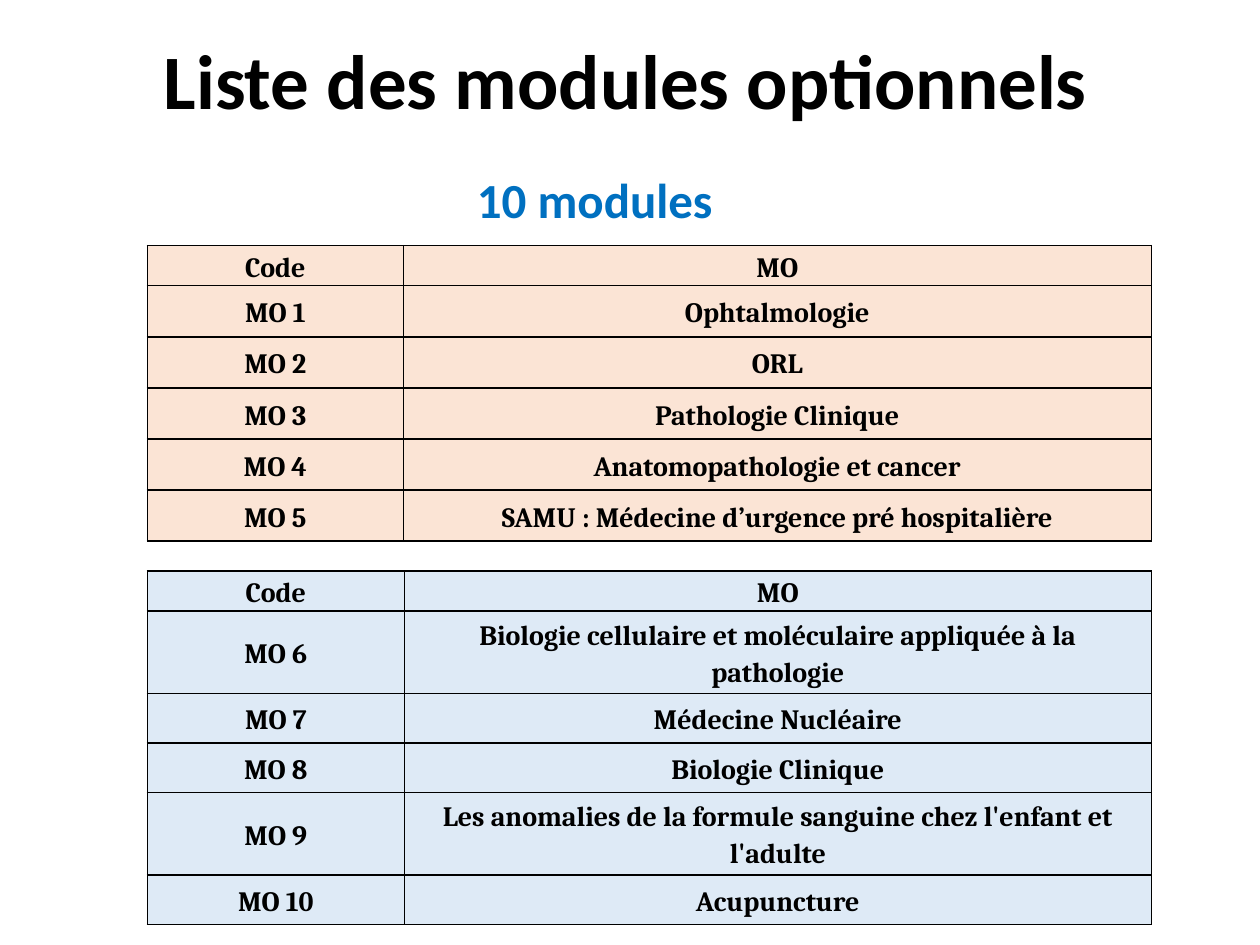
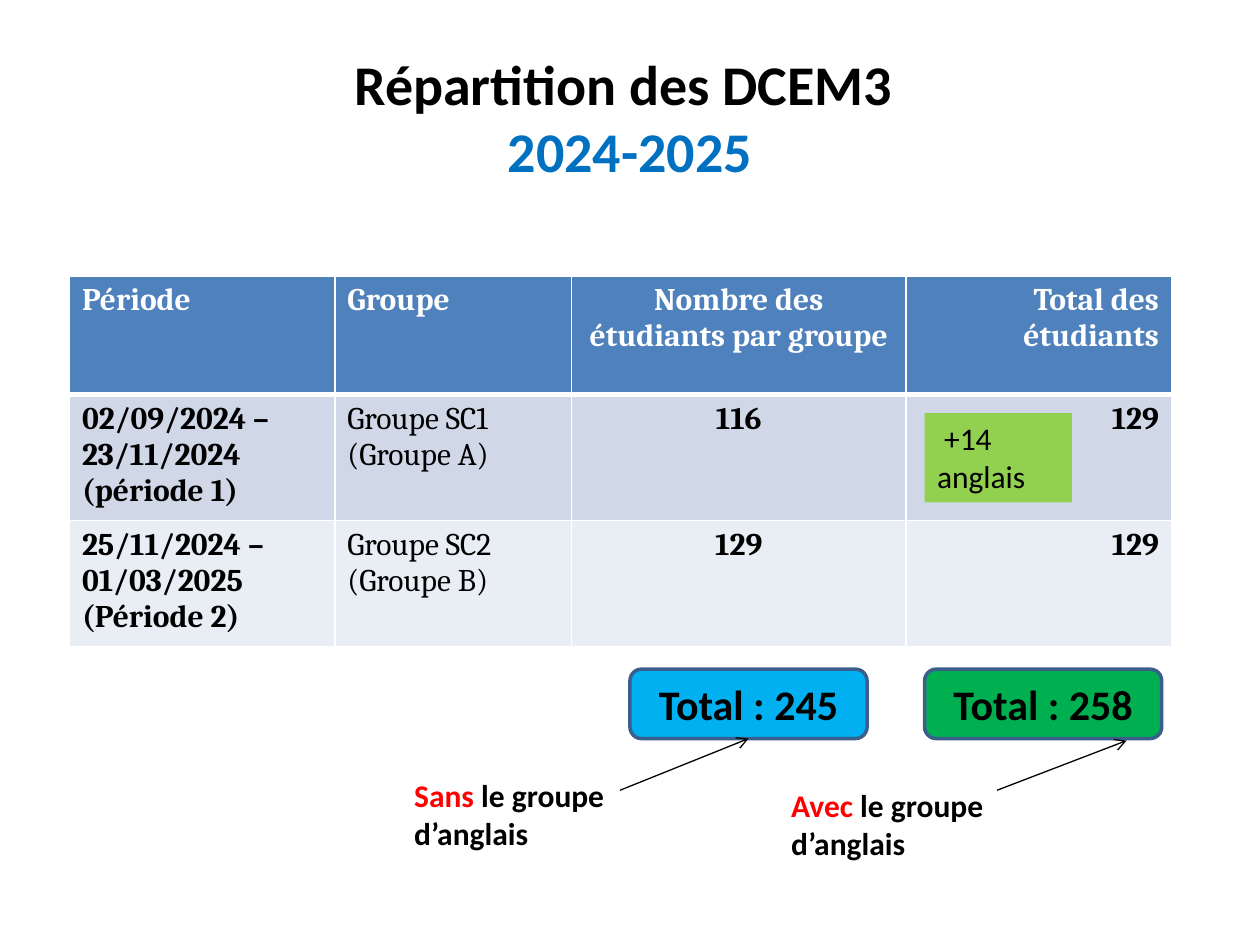
from pptx import Presentation
from pptx.dml.color import RGBColor as RGB
from pptx.enum.shapes import MSO_CONNECTOR as LINK, MSO_SHAPE as SHAPE
from pptx.enum.text import MSO_ANCHOR as ANCHOR, PP_ALIGN as ALIGN
from pptx.oxml import parse_xml
from pptx.oxml.ns import nsdecls
from pptx.util import Cm, Pt

BLACK = RGB(0, 0, 0)
WHITE = RGB(0xFF, 0xFF, 0xFF)
RED = RGB(0xFF, 0, 0)
ACCENT = RGB(0x00, 0x70, 0xC0)
PEACH = RGB(0xFB, 0xE4, 0xD5)
PALE = RGB(0xDE, 0xEA, 0xF6)
HEAD = RGB(0x4F, 0x81, 0xBD)
BANDS = [RGB(0xD0, 0xD8, 0xE8), RGB(0xE9, 0xED, 0xF4)]
EDGE = RGB(0x3A, 0x5F, 0x8C)
SKY = RGB(0x00, 0xB0, 0xF0)
GREEN = RGB(0x00, 0xB0, 0x50)
LIME = RGB(0x92, 0xD0, 0x50)
SANS, SERIF = "Calibri", "Cambria"


def write(frame, lines, size, font=SANS, bold=True, align=ALIGN.LEFT, color=BLACK):
    """Fill a frame; a line is a string or a list of (text, colour) runs."""
    frame.word_wrap = True
    for i, line in enumerate(lines):
        par = frame.add_paragraph() if i else frame.paragraphs[0]
        par.alignment = align
        par.font.name, par.font.size, par.font.bold = font, Pt(size), bold
        if isinstance(line, str):
            par.text = line
            par.font.color.rgb = color
            continue
        for text, tint in line:
            run = par.add_run()
            run.text = text.rstrip("\n")
            run.font.color.rgb = tint
            if text.endswith("\n"):
                par.add_line_break()


def paint(cell, fill, line, top=1, bottom=1):
    """Give a cell its borders (in points), then its fill."""
    props = cell._tc.get_or_add_tcPr()
    for side, width in zip("LRTB", (1, 1, top, bottom)):
        props.append(parse_xml(
            f'<a:ln{side} {nsdecls("a")} w="{Pt(width)}"><a:solidFill>'
            f'<a:srgbClr val="{line}"/></a:solidFill></a:ln{side}>'))
    cell.fill.solid()
    cell.fill.fore_color.rgb = fill


deck = Presentation()
deck.slide_width, deck.slide_height = Cm(25.4), Cm(19.05)
blank = deck.slide_layouts[6]
first, second = deck.slides.add_slide(blank), deck.slides.add_slide(blank)

# Titles of both slides
titles = [
    (first, 1.19, 0, 44, [("Liste des modules optionnels", BLACK)]),
    (second, 1.27, 0.76, 32, [("Répartition des DCEM3 \n", BLACK), ("2024-2025", ACCENT)]),
]
for slide, left, top, size, runs in titles:
    frame = slide.shapes.add_textbox(Cm(left), Cm(top), Cm(22.86), Cm(3.18)).text_frame
    frame.vertical_anchor = ANCHOR.MIDDLE
    write(frame, [runs], size, align=ALIGN.CENTER)

# Slide 1: module count
count = first.shapes.add_textbox(Cm(7.54), Cm(3.3), Cm(9.12), Cm(1.45))
write(count.text_frame, ["10 modules "], 28, align=ALIGN.CENTER, color=ACCENT)

# Slide 1: two module lists, numbered on from one to the next
lists = [
    (4.95, PEACH, 5.16, [0.81] + [1.03] * 5,
     ["Ophtalmologie", "ORL", "Pathologie Clinique", "Anatomopathologie et cancer",
      "SAMU : Médecine d’urgence pré hospitalière"]),
    (11.51, PALE, 5.18, [0.81, 1.66, 1, 1, 1.66, 1],
     ["Biologie cellulaire et moléculaire appliquée à la pathologie",
      "Médecine Nucléaire", "Biologie Clinique",
      "Les anomalies de la formule sanguine chez l'enfant et l'adulte", "Acupuncture"]),
]
start = 1
for top, fill, wide, tall, names in lists:
    rows = [("Code", "MO")] + [(f"MO {n}", name) for n, name in enumerate(names, start)]
    start += len(names)
    grid = first.shapes.add_table(
        len(rows), 2, Cm(2.97), Cm(top), Cm(20.24), Cm(sum(tall))).table
    grid.columns[0].width, grid.columns[1].width = Cm(wide), Cm(20.24 - wide)
    for r, row in enumerate(rows):
        grid.rows[r].height = Cm(tall[r])
        for c, text in enumerate(row):
            cell = grid.cell(r, c)
            cell.margin_left = cell.margin_right = Cm(0.13)
            cell.margin_top = cell.margin_bottom = 0
            cell.vertical_anchor = ANCHOR.MIDDLE
            write(cell.text_frame, [text], 16, SERIF, align=ALIGN.CENTER)
            cell.text_frame.paragraphs[0].line_spacing = 1.15
            paint(cell, fill, BLACK)

# Slide 2: students by period
periods = [
    ["Période", "Groupe", "Nombre des étudiants par groupe", "Total des étudiants"],
    ["02/09/2024 –23/11/2024\n(période 1)", "Groupe SC1\n(Groupe A)", "116", "129"],
    ["25/11/2024 –01/03/2025\n(Période 2)", "Groupe SC2\n(Groupe B)", "129", "129"],
]
widths, tall = [5.35, 4.77, 6.75, 5.35], [2.39, 1.98, 1.98]
aligns = [ALIGN.LEFT, ALIGN.LEFT, ALIGN.CENTER, ALIGN.RIGHT]
grid = second.shapes.add_table(
    3, 4, Cm(1.4), Cm(5.56), Cm(sum(widths)), Cm(sum(tall))).table
for c, width in enumerate(widths):
    grid.columns[c].width = Cm(width)
for r, row in enumerate(periods):
    grid.rows[r].height = Cm(tall[r])
    for c, text in enumerate(row):
        cell = grid.cell(r, c)
        write(cell.text_frame, text.split("\n"), 18, SERIF, bold=r == 0 or c != 1,
              align=aligns[c], color=BLACK if r else WHITE)
        paint(cell, BANDS[r - 1] if r else HEAD, WHITE,
              top=3 if r == 1 else 1, bottom=1 if r else 3)

# Slide 2: English group tag
tag = second.shapes.add_shape(SHAPE.RECTANGLE, Cm(18.64), Cm(8.33), Cm(2.97), Cm(1.8))
tag.shadow.inherit = False
tag.fill.solid()
tag.fill.fore_color.rgb = LIME
tag.line.fill.background()
tag.text_frame.vertical_anchor = ANCHOR.TOP
write(tag.text_frame, [" +14", "anglais"], 18, bold=False)

# Slide 2: totals, each with a note and an arrow
totals = [
    (12.7, SKY, "Total : 245", "Sans", 8.1, 15.52, 15.09),
    (18.64, GREEN, "Total : 258", "Avec", 15.7, 15.72, 22.71),
]
for left, fill, text, word, side, top, tip in totals:
    box = second.shapes.add_shape(
        SHAPE.ROUNDED_RECTANGLE, Cm(left), Cm(13.49), Cm(4.78), Cm(1.4))
    box.shadow.inherit = False
    box.fill.solid()
    box.fill.fore_color.rgb = fill
    box.line.color.rgb, box.line.width = EDGE, Pt(2)
    box.text_frame.vertical_anchor = ANCHOR.MIDDLE
    write(box.text_frame, [text], 24, align=ALIGN.CENTER)

    note = second.shapes.add_textbox(Cm(side), Cm(top), Cm(4.4), Cm(1.8))
    write(note.text_frame, [[(word, RED), (" le groupe d’anglais", BLACK)]], 18)

    arrow = second.shapes.add_connector(
        LINK.STRAIGHT, Cm(side + 4.4), Cm(15.93), Cm(tip), Cm(14.93))
    if fill == SKY:
        arrow.end_connect(box, 2)
    arrow.line.color.rgb, arrow.line.width = BLACK, Pt(0.75)
    arrow.line._get_or_add_ln().append(
        parse_xml(f'<a:tailEnd {nsdecls("a")} type="arrow"/>'))
    arrow._element.spPr.append(parse_xml(f'<a:effectLst {nsdecls("a")}/>'))

deck.save("out.pptx")
